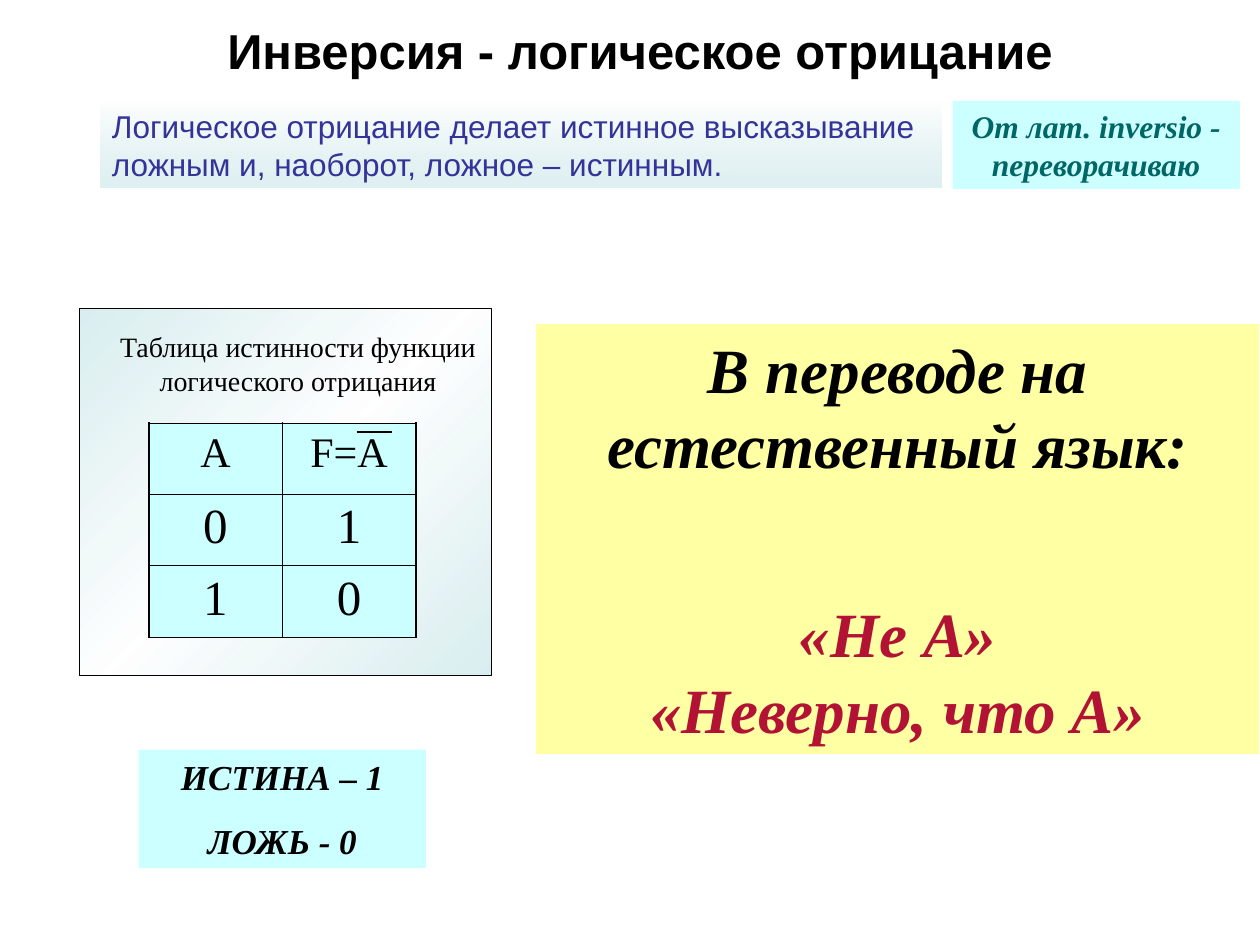
from lxml import etree
from pptx import Presentation
from pptx.dml.color import RGBColor
from pptx.enum import shapes, text
from pptx.oxml import parse_xml
from pptx.oxml.ns import nsdecls, qn
from pptx.util import Inches, Pt

COLORS = dict(black="000000", white="FFFFFF", cyan="CCFFFF", teal="006666",
              indigo="333399", red="B21234", yellow="FFFF00", mist="BBE0E3")
SERIF = "Times New Roman"
BOLD_ITALIC = dict(name=SERIF, bold=True, italic=True)

TITLE = "Инверсия - логическое отрицание"
CAPTION = "Таблица истинности функции логического отрицания"
TRUTH_TABLE = [("A", "F=А"), ("0", "1"), ("1", "0")]
ROW_HEIGHTS = (0.56, 0.57, 0.57)
ROW_SIZES = (24, 28, 28)
COLUMN_WIDTH = 1.06
# Gradient stops: position %, colour, opacity %
PANEL_STOPS = [(0, "mist", 56), (50, "white", 58), (100, "mist", 56)]
DEFINITION_STOPS = [(0, "white", 74), (100, "mist", 47)]
# Paragraphs: text, colour, space before
ORIGIN = [("От лат. inversio - переворачиваю", "teal", 0)]
DEFINITION = [("Логическое отрицание делает истинное высказывание ложным "
               "и, наоборот, ложное – истинным.", "indigo", 0)]
TRANSLATION = [("В переводе на естественный язык:", "black", 0),
               ("«Не А»\v«Неверно, что А»", "red", 65)]
LEGEND = [("ИСТИНА – 1", "black", 0), ("ЛОЖЬ - 0", "black", 12.5)]


def rgb(name):
    return RGBColor.from_string(COLORS[name])


def write(tf, paragraphs, align=text.PP_ALIGN.CENTER, **font):
    tf.word_wrap = True
    tf.vertical_anchor = text.MSO_ANCHOR.TOP
    for i, (words, color, before) in enumerate(paragraphs):
        p = tf.paragraphs[0] if i == 0 else tf.add_paragraph()
        p.text = words
        p.alignment = align
        p.space_before = Pt(before)
        for r in p.runs:
            for key, value in font.items():
                setattr(r.font, key, value)
            r.font.color.rgb = rgb(color)


def add_box(s, at, fill=None, line=None):
    sp = s.shapes.add_shape(shapes.MSO_SHAPE.RECTANGLE, *map(Inches, at))
    sp.shadow.inherit = False
    if fill:
        sp.fill.solid()
        sp.fill.fore_color.rgb = rgb(fill)
    if line:
        sp.line.color.rgb = rgb(line)
        sp.line.width = Pt(0.75)
    else:
        sp.line.fill.background()
    return sp


def set_gradient(sp, stops, angle):
    items = "".join(
        f'<a:gs pos="{pos * 1000}"><a:srgbClr val="{COLORS[color]}">'
        f'<a:alpha val="{alpha * 1000}"/></a:srgbClr></a:gs>'
        for pos, color, alpha in stops)
    sp._element.spPr.find(qn("a:prstGeom")).addnext(parse_xml(
        f'<a:gradFill {nsdecls("a")} rotWithShape="1"><a:gsLst>{items}</a:gsLst>'
        f'<a:lin ang="{angle * 60000}" scaled="0"/></a:gradFill>'))


def set_borders(cell, outer):
    """Draw the sides named in outer thick and the other sides thin."""
    for i, side in enumerate("LRTB"):
        width = Pt(1.08 if side in outer else 0.45)
        cell._tc.get_or_add_tcPr().insert(i, parse_xml(
            f'<a:ln{side} {nsdecls("a")} w="{width}"><a:solidFill>'
            f'<a:srgbClr val="{COLORS["black"]}"/></a:solidFill></a:ln{side}>'))


def add_truth_table(s, left, top):
    rows, cols = len(TRUTH_TABLE), len(TRUTH_TABLE[0])
    table = s.shapes.add_table(rows, cols, Inches(left), Inches(top),
                               Inches(COLUMN_WIDTH * cols),
                               Inches(sum(ROW_HEIGHTS))).table
    for column in table.columns:
        column.width = Inches(COLUMN_WIDTH)
    for r, values in enumerate(TRUTH_TABLE):
        table.rows[r].height = Inches(ROW_HEIGHTS[r])
        for c, value in enumerate(values):
            cell = table.cell(r, c)
            cell.fill.solid()
            cell.fill.fore_color.rgb = rgb("cyan")
            outer = ("L" if c == 0 else "R") + {0: "T", rows - 1: "B"}.get(r, "")
            set_borders(cell, outer)
            write(cell.text_frame, [(value, "black", 0)], name=SERIF,
                  size=Pt(ROW_SIZES[r]), bold=False)


def main():
    prs = Presentation()
    prs.slide_width, prs.slide_height = Inches(10), Inches(7.5)
    s = prs.slides.add_slide(prs.slide_layouts[5])

    panel = add_box(s, (0.63, 2.45, 3.27, 2.91), line="black")
    set_gradient(panel, PANEL_STOPS, 45)

    title = s.shapes.title
    title.left, title.top, title.width, title.height = map(
        Inches, (0.67, 0.11, 8.82, 0.57))
    write(title.text_frame, [(TITLE, "black", 0)],
          name="Arial", size=Pt(28), bold=True)

    origin = add_box(s, (7.56, 0.8, 2.28, 0.7), "cyan")
    write(origin.text_frame, ORIGIN, size=Pt(18), **BOLD_ITALIC)

    definition = add_box(s, (0.79, 0.8, 6.69, 0.7), line="white")
    set_gradient(definition, DEFINITION_STOPS, 90)
    write(definition.text_frame, DEFINITION, text.PP_ALIGN.LEFT,
          name="Arial", size=Pt(18))

    add_truth_table(s, 1.18, 3.36)
    caption = s.shapes.add_textbox(*map(Inches, (0.79, 2.57, 3.15, 0.64)))
    write(caption.text_frame, [(CAPTION, "black", 0)], name=SERIF, size=Pt(16))

    overbar = s.shapes.add_connector(
        shapes.MSO_CONNECTOR.STRAIGHT, *map(Inches, (2.83, 3.43, 3.11, 3.43)))
    overbar.line.color.rgb = rgb("black")
    overbar.line.width = Pt(1.5)
    etree.SubElement(overbar._element.spPr, qn("a:effectLst"))

    translation = add_box(s, (4.25, 2.57, 5.75, 3.42), "yellow", "white")
    fill_color = translation._element.spPr.find(qn("a:solidFill"))[0]
    etree.SubElement(fill_color, qn("a:alpha"), val="36000")
    write(translation.text_frame, TRANSLATION, size=Pt(36), **BOLD_ITALIC)

    legend = add_box(s, (1.1, 5.95, 2.28, 0.94), "cyan")
    write(legend.text_frame, LEGEND, size=Pt(20), **BOLD_ITALIC)

    prs.save("out.pptx")


if __name__ == "__main__":
    main()
